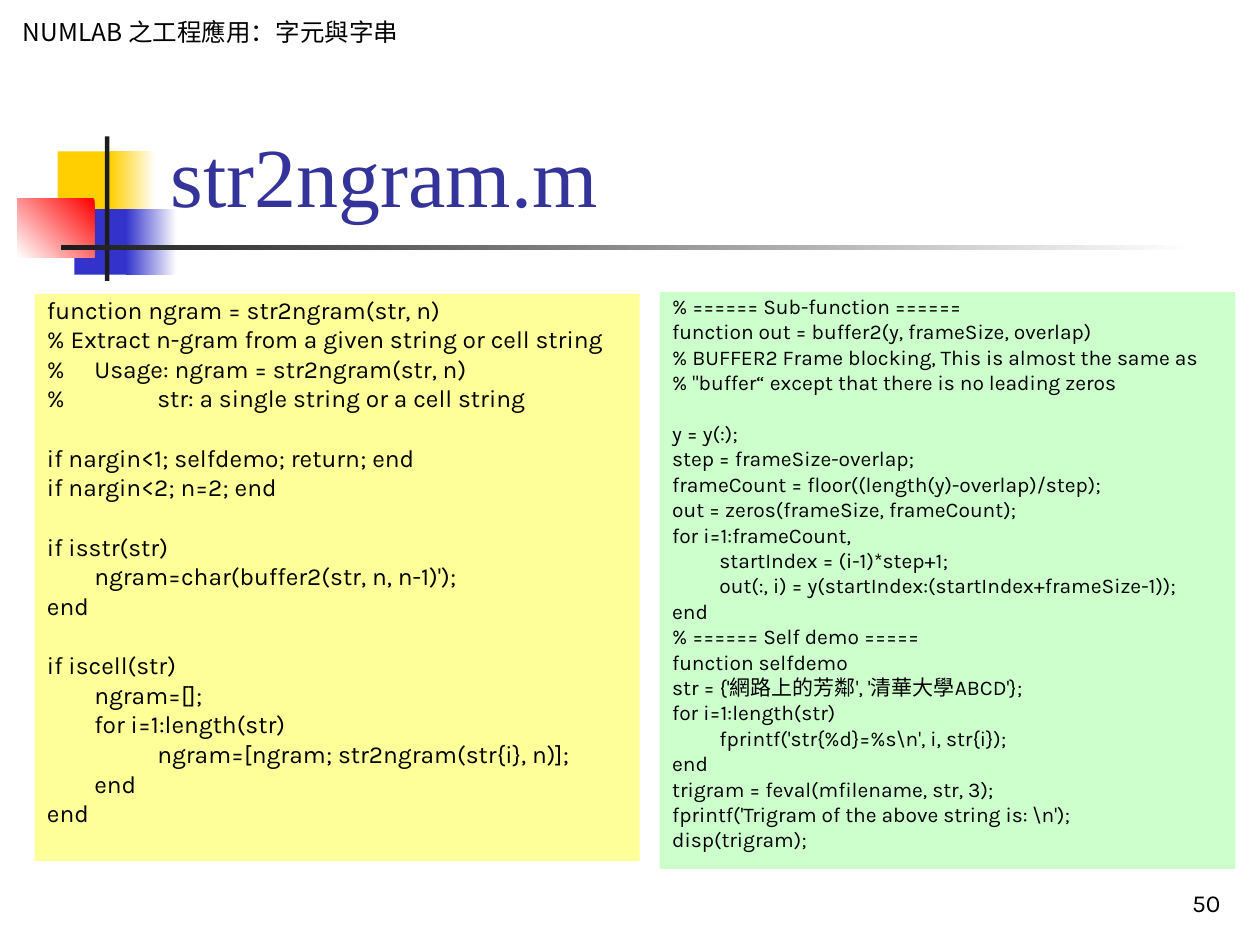
from dataclasses import dataclass

from lxml import etree
from pptx import Presentation
from pptx.dml.color import RGBColor
from pptx.enum.shapes import MSO_SHAPE
from pptx.enum.text import MSO_ANCHOR, PP_ALIGN
from pptx.oxml.ns import qn
from pptx.util import Pt

RECTANGLE = MSO_SHAPE.RECTANGLE
TOP, BOTTOM = MSO_ANCHOR.TOP, MSO_ANCHOR.BOTTOM
LEFT, RIGHT = PP_ALIGN.LEFT, PP_ALIGN.RIGHT


@dataclass(frozen=True)
class Theme:
    text: str = "000000"
    title: str = "333399"
    white: str = "FFFFFF"
    yellow: str = "FFCF01"
    blue: str = "3333CC"
    red: str = "FF0000"
    rule: str = "1C1C1C"
    main_panel: str = "FFFF99"
    helper_panel: str = "CCFFCC"
    body_font: str = "Karla"
    title_font: str = "Times New Roman"
    header_font: str = "Noto Sans CJK SC"
    title_size: int = 48
    body_size: int = 14
    helper_size: int = 12


THEME = Theme()
HEADER = "NUMLAB 之工程應用：字元與字串"
TITLE = "str2ngram.m"
PAGE_NUMBER = "50"

# Each inner list is a block of code; blocks are set apart by one line.
MAIN_CODE = [
    [
        "function ngram = str2ngram(str, n)",
        "% Extract n-gram from a given string or cell string",
        "%\tUsage: ngram = str2ngram(str, n)",
        "%\t\tstr: a single string or a cell string",
    ],
    [
        "if nargin<1; selfdemo; return; end",
        "if nargin<2; n=2; end",
    ],
    [
        "if isstr(str)",
        "\tngram=char(buffer2(str, n, n-1)');",
        "end",
    ],
    [
        "if iscell(str)",
        "\tngram=[];",
        "\tfor i=1:length(str)",
        "\t\tngram=[ngram; str2ngram(str{i}, n)];",
        "\tend",
        "end",
    ],
]
HELPER_CODE = [
    [
        "% ====== Sub-function ======",
        "function out = buffer2(y, frameSize, overlap)",
        "% BUFFER2 Frame blocking, This is almost the same as",
        '% "buffer“ except that there is no leading zeros',
    ],
    [
        "y = y(:);",
        "step = frameSize-overlap;",
        "frameCount = floor((length(y)-overlap)/step);",
        "out = zeros(frameSize, frameCount);",
        "for i=1:frameCount,",
        "\tstartIndex = (i-1)*step+1;",
        "\tout(:, i) = y(startIndex:(startIndex+frameSize-1));",
        "end",
        "% ====== Self demo =====",
        "function selfdemo",
        "str = {'網路上的芳鄰', '清華大學ABCD'};",
        "for i=1:length(str)",
        "\tfprintf('str{%d}=%s\\n', i, str{i});",
        "end",
        "trigram = feval(mfilename, str, 3);",
        "fprintf('Trigram of the above string is: \\n');",
        "disp(trigram);",
    ],
]

# Left, top, width, height, colour, angle of the fade to white (None: solid)
ORNAMENTS = [
    (33, 86.5, 34.5, 37.5, THEME.yellow, None),
    (63, 86.5, 26, 37.5, THEME.yellow, 0),
    (42.5, 119.5, 33, 37.5, THEME.blue, None),
    (72, 119.5, 29, 37.5, THEME.blue, 0),
    (10, 113.5, 44, 33.5, THEME.red, 225),
    (60, 78, 2.5, 82.5, THEME.rule, None),
    (34.7, 140.2, 648, 2.5, THEME.rule, 0),
]

INDENT = 27
LINE_SPACING = 0.8
GAP_SHARE = 0.25  # space before a line, as a share of the type size
PITCH_SHARE = 1.21  # distance between baselines, as a share of the type size


def add_rectangle(page, bounds, colour, fade_angle=None):
    shape = page.shapes.add_shape(RECTANGLE, *map(Pt, bounds))
    shape.shadow.inherit = False
    shape.line.fill.background()
    if fade_angle is None:
        shape.fill.solid()
        shape.fill.fore_color.rgb = RGBColor.from_string(colour)
    else:
        shape.fill.gradient()
        shape.fill.gradient_angle = fade_angle
        for stop, stop_colour in zip(shape.fill.gradient_stops, (colour, THEME.white)):
            stop.color.rgb = RGBColor.from_string(stop_colour)
    return shape


def style_para(para, font, size, colour=THEME.text, align=LEFT):
    para.alignment = align
    para.font.name = font
    para.font.size = Pt(size)
    para.font.color.rgb = RGBColor.from_string(colour)


def add_label(page, bounds, text, font, size, anchor=BOTTOM, **style):
    frame = page.shapes.add_textbox(*map(Pt, bounds)).text_frame
    frame.word_wrap = True
    frame.vertical_anchor = anchor
    para = frame.paragraphs[0]
    para.text = text
    style_para(para, font, size, **style)


def set_code_indent(para):
    """Hang the first line and set a tab stop at every inch."""
    properties = para._p.get_or_add_pPr()
    properties.set("marL", str(Pt(INDENT)))
    properties.set("indent", str(-Pt(INDENT)))
    tabs = etree.SubElement(properties, qn("a:tabLst"))
    for inch in range(8):
        etree.SubElement(tabs, qn("a:tab"), pos=str(Pt(72 * inch)), algn="l")


def add_code_panel(page, bounds, blocks, size, colour):
    frame = add_rectangle(page, bounds, colour).text_frame
    frame.word_wrap = True
    frame.vertical_anchor = TOP
    for block_index, block in enumerate(blocks):
        for line_index, line in enumerate(block):
            first = block_index == line_index == 0
            para = frame.paragraphs[0] if first else frame.add_paragraph()
            para.text = line
            para.line_spacing = LINE_SPACING
            block_gap = PITCH_SHARE if line_index == 0 else 0
            para.space_before = Pt(0 if first else size * (GAP_SHARE + block_gap))
            set_code_indent(para)
            style_para(para, THEME.body_font, size)


def main():
    deck = Presentation()
    deck.slide_width, deck.slide_height = Pt(720), Pt(540)
    page = deck.slides.add_slide(deck.slide_layouts[6])

    for *bounds, colour, fade_angle in ORNAMENTS:
        add_rectangle(page, bounds, colour, fade_angle)
    add_label(page, (6, 6, 263.5, 24.5), HEADER, THEME.header_font, THEME.body_size, TOP)
    add_label(page, (90.5, 16.5, 613.5, 115), TITLE, THEME.title_font,
              THEME.title_size, colour=THEME.title)
    add_code_panel(page, (19.75, 168, 345.75, 324), MAIN_CODE,
                   THEME.body_size, THEME.main_panel)
    add_code_panel(page, (377, 167, 329, 329.5), HELPER_CODE,
                   THEME.helper_size, THEME.helper_panel)
    add_label(page, (554.5, 492, 150, 36), PAGE_NUMBER, THEME.body_font,
              THEME.body_size, align=RIGHT)
    deck.save("out.pptx")


if __name__ == "__main__":
    main()
